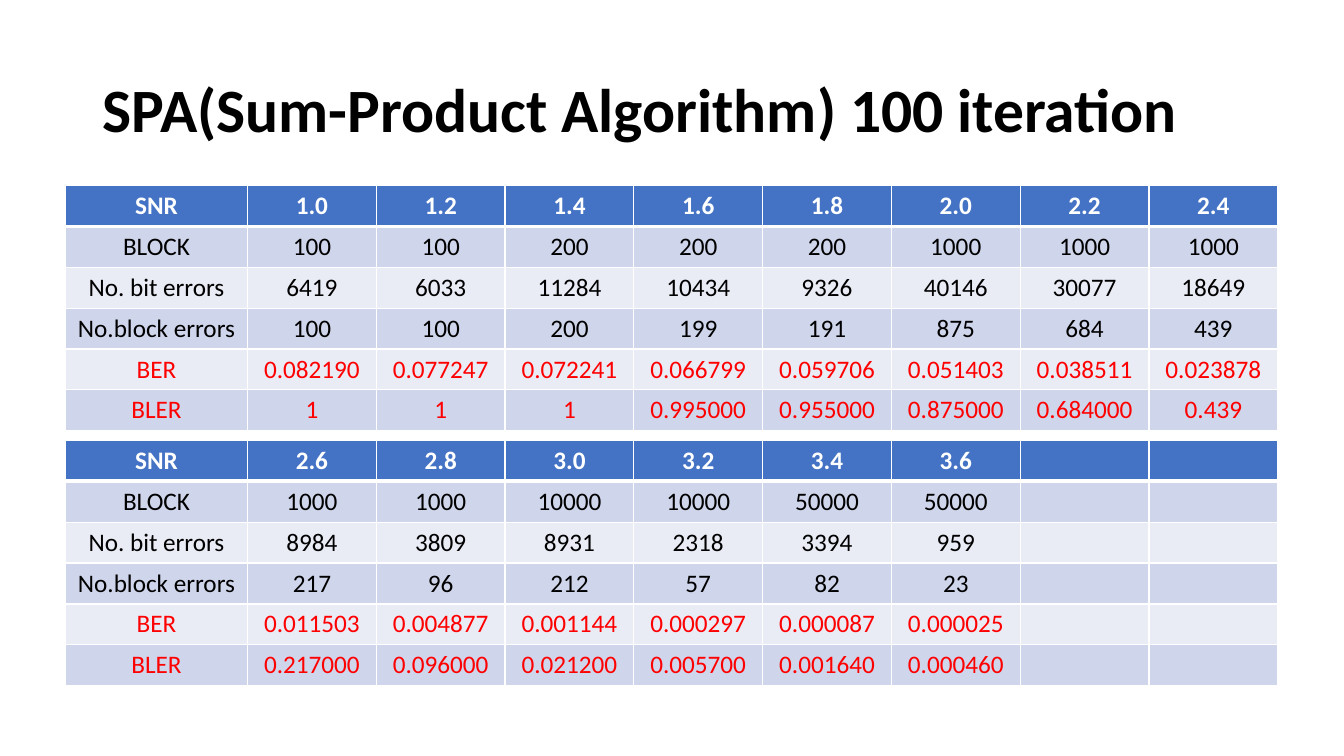
from lxml.etree import SubElement
from pptx import Presentation
from pptx.dml.color import RGBColor
from pptx.enum.text import MSO_ANCHOR, PP_ALIGN
from pptx.oxml.ns import qn
from pptx.util import Pt

# Content
TITLE = "SPA(Sum-Product Algorithm) 100 iteration"
LABELS = ["SNR", "BLOCK", "No. bit errors", "No.block errors", "BER", "BLER"]
LOW_SNR = [
    ["1.0", "1.2", "1.4", "1.6", "1.8", "2.0", "2.2", "2.4"],
    ["100", "100", "200", "200", "200", "1000", "1000", "1000"],
    ["6419", "6033", "11284", "10434", "9326", "40146", "30077", "18649"],
    ["100", "100", "200", "199", "191", "875", "684", "439"],
    ["0.082190", "0.077247", "0.072241", "0.066799", "0.059706",
     "0.051403", "0.038511", "0.023878"],
    ["1", "1", "1", "0.995000", "0.955000", "0.875000", "0.684000", "0.439"],
]
HIGH_SNR = [
    ["2.6", "2.8", "3.0", "3.2", "3.4", "3.6"],
    ["1000", "1000", "10000", "10000", "50000", "50000"],
    ["8984", "3809", "8931", "2318", "3394", "959"],
    ["217", "96", "212", "57", "82", "23"],
    ["0.011503", "0.004877", "0.001144", "0.000297", "0.000087", "0.000025"],
    ["0.217000", "0.096000", "0.021200", "0.005700", "0.001640", "0.000460"],
]
COLORS = {"header": "4472C4", "odd": "CFD5EA", "even": "E9EBF5",
          "white": "FFFFFF", "black": "000000", "red": "FF0000"}
FONT = "Calibri"

# Layout, in points
TABLE_LEFT = 46.8
TABLE_TOPS = [132.5, 314.6]
LABEL_WIDTH, VALUE_WIDTH, ROW_HEIGHT = 130, 92, 29.2
VALUE_COLUMNS = 8


def add_span(para, text, size, color, bold):
    span = para.add_run()
    span.text = text
    span.font.name = FONT
    span.font.size = Pt(size)
    span.font.bold = bold
    span.font.color.rgb = RGBColor.from_string(COLORS[color])


def add_borders(cell, row):
    widths = {"a:lnL": 1, "a:lnR": 1,
              "a:lnT": 3 if row == 1 else 1, "a:lnB": 3 if row == 0 else 1}
    properties = cell._tc.get_or_add_tcPr()
    for tag, width in widths.items():
        line = SubElement(properties, qn(tag), w=str(Pt(width)))
        fill = SubElement(line, qn("a:solidFill"))
        SubElement(fill, qn("a:srgbClr"), val=COLORS["white"])


def row_style(row):
    """Return the fill and text colours of a row."""
    if row == 0:
        return "header", "white"
    return "odd" if row % 2 else "even", "red" if row >= 4 else "black"


def add_results(page, top, results):
    width = LABEL_WIDTH + VALUE_COLUMNS * VALUE_WIDTH
    table = page.shapes.add_table(
        len(LABELS), VALUE_COLUMNS + 1, Pt(TABLE_LEFT), Pt(top),
        Pt(width), Pt(ROW_HEIGHT * len(LABELS))).table
    for index, column in enumerate(table.columns):
        column.width = Pt(VALUE_WIDTH if index else LABEL_WIDTH)
    for row, (label, values) in enumerate(zip(LABELS, results)):
        table.rows[row].height = Pt(ROW_HEIGHT)
        fill, color = row_style(row)
        texts = [label] + values
        for index, cell in enumerate(table.rows[row].cells):
            add_borders(cell, row)
            cell.fill.solid()
            cell.fill.fore_color.rgb = RGBColor.from_string(COLORS[fill])
            para = cell.text_frame.paragraphs[0]
            para.alignment = PP_ALIGN.CENTER
            if index < len(texts):
                add_span(para, texts[index], 18, color, row == 0)


# Page
deck = Presentation()
deck.slide_width, deck.slide_height = Pt(960), Pt(540)
page = deck.slides.add_slide(deck.slide_layouts[5])

# Title
title = page.shapes.title
title.left, title.top, title.width, title.height = Pt(66), Pt(28.1), Pt(828), Pt(104.4)
title.text_frame.word_wrap = True
title.text_frame.vertical_anchor = MSO_ANCHOR.MIDDLE
title_para = title.text_frame.paragraphs[0]
title_para.alignment = PP_ALIGN.LEFT
title_para.line_spacing = 0.9
add_span(title_para, TITLE, 44, "black", True)

# Result tables
for top, results in zip(TABLE_TOPS, [LOW_SNR, HIGH_SNR]):
    add_results(page, top, results)

deck.save("out.pptx")
